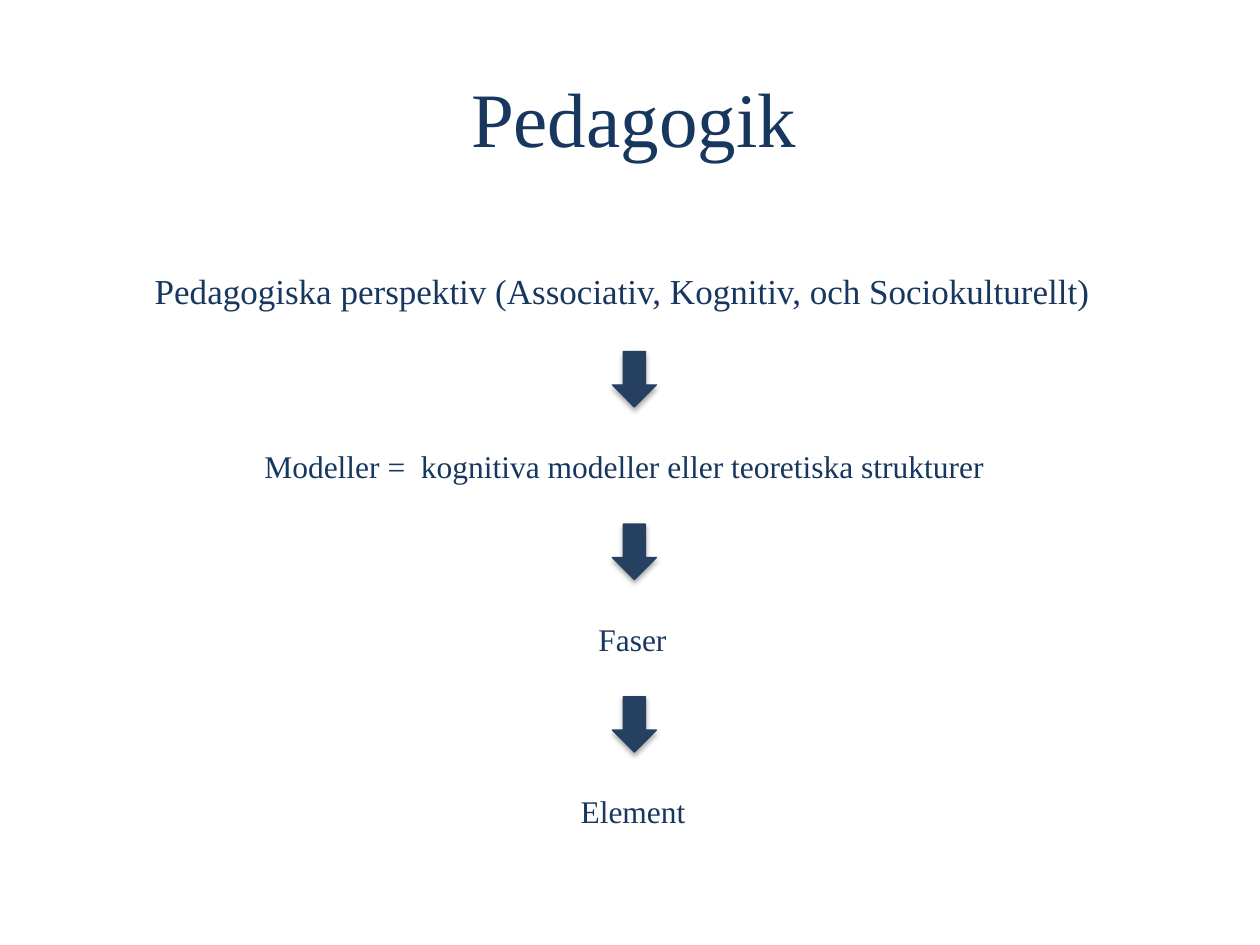
from lxml import etree
from pptx import Presentation
from pptx import util as u
from pptx.dml.color import RGBColor
from pptx.enum import shapes, text
from pptx.oxml.ns import qn

COLORS = {"text": "17375E", "arrow": "254061", "shadow": "000000"}
FONT = "Times New Roman"


class SlideBuilder:
    """Holds the style and the current slide."""

    def __init__(self, slide):
        self.slide = slide

    def color(self, name):
        return RGBColor.from_string(COLORS[name])

    def label(self, words, box, size, **frame_format):
        textbox = self.slide.shapes.add_textbox(*map(u.Inches, box))
        frame = textbox.text_frame
        for key, value in frame_format.items():
            setattr(frame, key, value)
        paragraph = frame.paragraphs[0]
        run = paragraph.add_run()
        run.text = words
        for key, value in {"name": FONT, "size": u.Pt(size)}.items():
            setattr(run.font, key, value)
        run.font.color.rgb = self.color("text")
        return paragraph

    def down_arrow(self, box):
        arrow = self.slide.shapes.add_shape(
            shapes.MSO_SHAPE.DOWN_ARROW, *map(u.Inches, box))
        arrow.fill.solid()
        arrow.fill.fore_color.rgb = self.color("arrow")
        arrow.line.color.rgb = self.color("arrow")
        arrow.line.width = u.Pt(0.75)
        self.soft_shadow(arrow)

    def soft_shadow(self, shape):
        shape.shadow.inherit = False
        effects = shape.element.spPr.find(qn("a:effectLst"))
        shadow = etree.SubElement(
            effects, qn("a:outerShdw"), blurRad=str(u.Pt(3.1)),
            dist=str(u.Pt(1.8)), dir="5400000", rotWithShape="0")
        tint = etree.SubElement(shadow, qn("a:srgbClr"), val=COLORS["shadow"])
        etree.SubElement(tint, qn("a:alpha"), val="35000")


def main():
    deck = Presentation()
    deck.slide_width, deck.slide_height = u.Inches(10), u.Inches(7.5)
    builder = SlideBuilder(deck.slides.add_slide(deck.slide_layouts[6]))

    # Title
    title = builder.label("Pedagogik", (0.53, 0.3, 9, 1.25), 44, word_wrap=True,
                          vertical_anchor=text.MSO_ANCHOR.MIDDLE)
    title.alignment = text.PP_ALIGN.CENTER

    # Top level of the chain
    fit = text.MSO_AUTO_SIZE.SHAPE_TO_FIT_TEXT
    builder.label("Pedagogiska perspektiv (Associativ, Kognitiv, och Sociokulturellt)",
                  (1.13, 2.09, 7.66, 0.44), 20, word_wrap=True, auto_size=fit)

    # Each lower level follows an arrow at an equal step
    step = 1.37
    levels = [
        ("Modeller =  kognitiva modeller eller teoretiska strukturer", 2, 6.06),
        ("Faser", 4.65, 0.75),
        ("Element", 4.51, 1.04),
    ]
    for index, (words, left, width) in enumerate(levels):
        offset = index * step
        builder.down_arrow((4.86, 2.79 + offset, 0.35, 0.44))
        builder.label(words, (left, 3.5 + offset, width, 0.4), 18,
                      word_wrap=False, auto_size=fit)

    deck.save("out.pptx")


if __name__ == "__main__":
    main()
